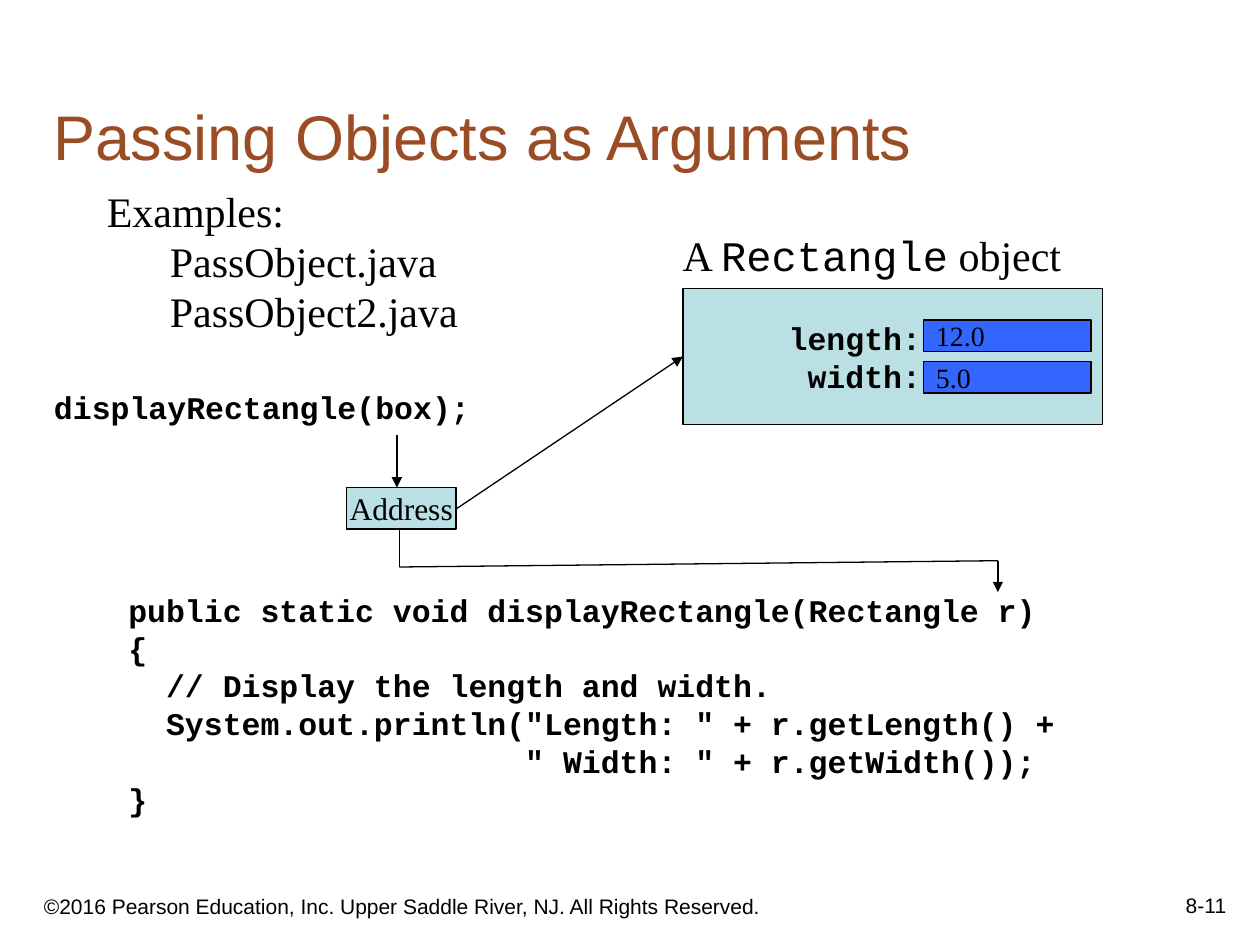
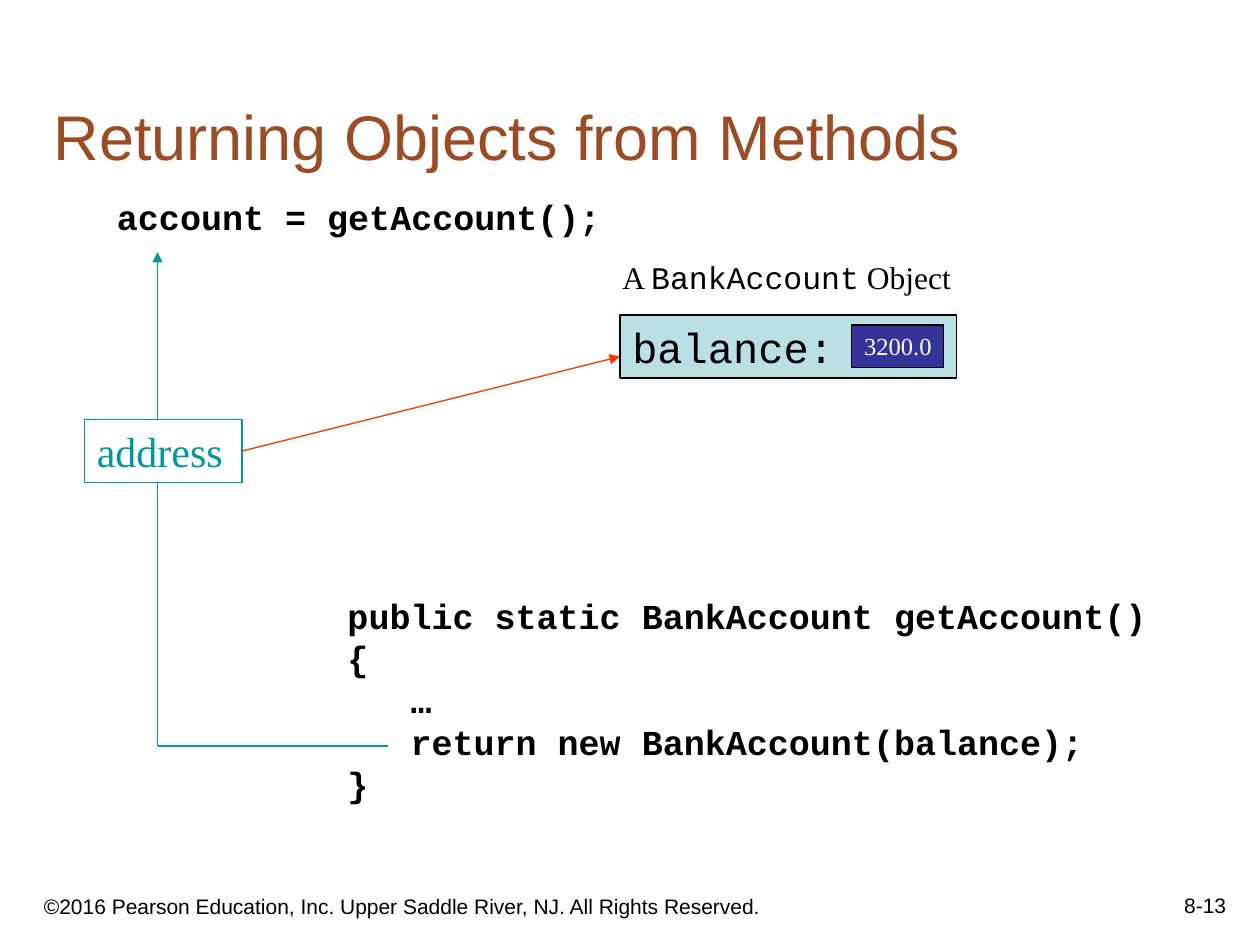
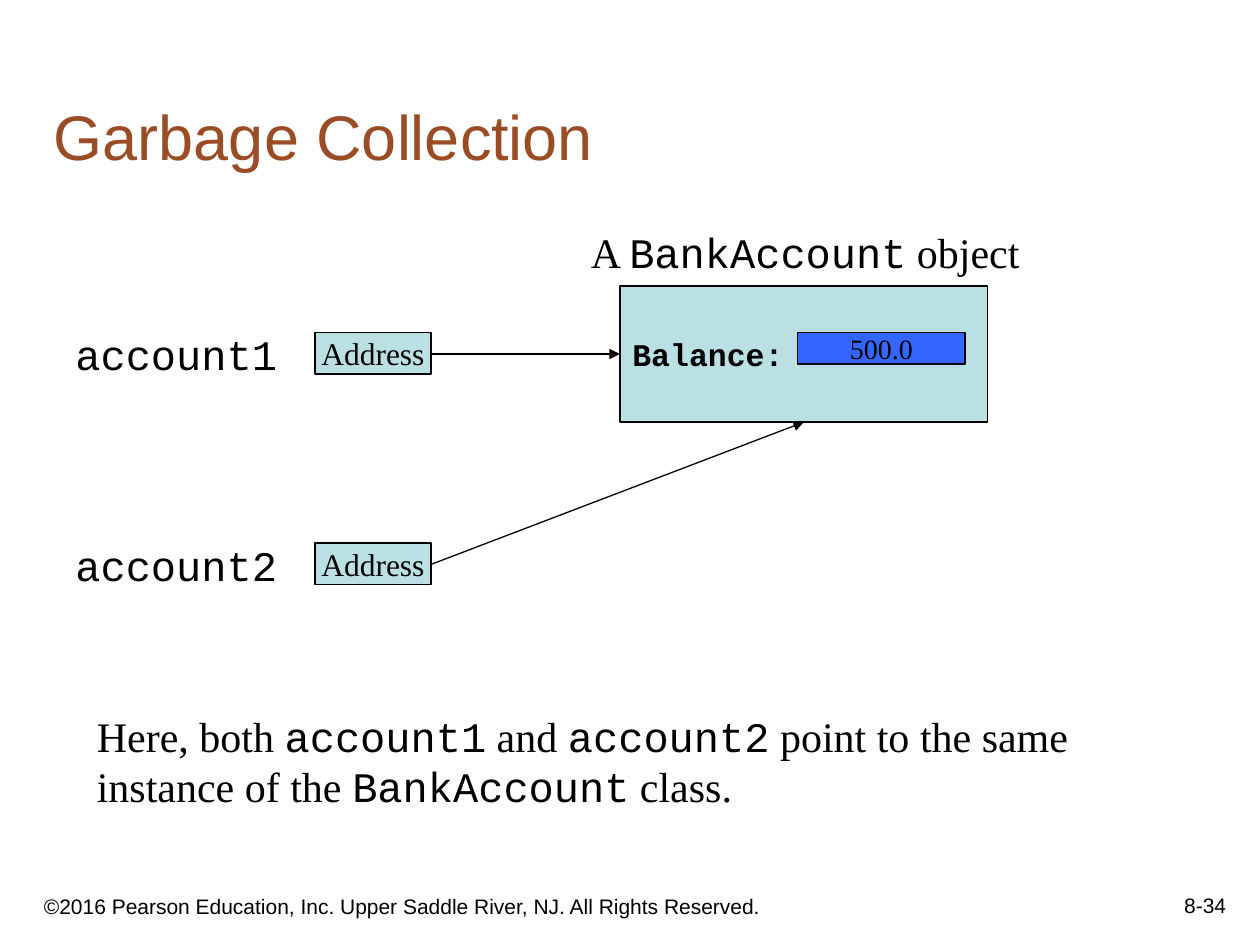
from lxml import etree
from pptx import Presentation
from pptx.dml.color import RGBColor
from pptx.enum.shapes import MSO_CONNECTOR, MSO_SHAPE
from pptx.enum.text import MSO_ANCHOR, PP_ALIGN
from pptx.oxml.ns import qn
from pptx.util import Inches, Pt

LEFT, CENTER, RIGHT = PP_ALIGN.LEFT, PP_ALIGN.CENTER, PP_ALIGN.RIGHT
TOP, MIDDLE, BOTTOM = MSO_ANCHOR.TOP, MSO_ANCHOR.MIDDLE, MSO_ANCHOR.BOTTOM
RECTANGLE = MSO_SHAPE.RECTANGLE
STRAIGHT = MSO_CONNECTOR.STRAIGHT

COLORS = {
    "title": "9A4C25", "black": "000000", "white": "FFFFFF", "object": "BBE0E3",
    "field": "3366FF", "navy": "333399", "teal": "009999", "red": "FF3300",
}
SANS, SERIF, MONO = "Arial", "Times New Roman", "Courier New"
LINE_WIDTH = Pt(0.75)

BASE = dict(font=SERIF, size=24, color="black", bold=False, align=LEFT, anchor=TOP,
            wrap=True, fill=None, line=None, hanging=0, right_inset=0.1)
CODE = dict(font=MONO, size=18, bold=True, wrap=False)
OBJECT = dict(fill="object", line="black", anchor=MIDDLE)
FIELD = dict(fill="field", line="black", anchor=MIDDLE, size=16, wrap=False)
STYLES = {
    "title": dict(font=SANS, size=36, color="title", anchor=BOTTOM),
    "footer": dict(font=SANS, size=12, anchor=BOTTOM),
    "number": dict(font=SANS, size=12, anchor=BOTTOM, align=RIGHT),
    "text": dict(wrap=False),
    "small text": dict(size=18, wrap=False),
    "examples": dict(hanging=0.5),
    "code": CODE,
    "large code": {**CODE, "size": 20},
    "variable": dict(font=MONO),
    "object": {**CODE, **OBJECT},
    "labels": {**CODE, **OBJECT, "align": RIGHT, "right_inset": 1.44, "wrap": True},
    "plain object": {**OBJECT, "font": MONO, "anchor": TOP},
    "address": {**OBJECT, "size": 18, "align": CENTER, "wrap": False},
    "outlined address": dict(color="teal", line="teal"),
    "field": FIELD,
    "centered field": {**FIELD, "align": CENTER},
    "navy field": {**FIELD, "fill": "navy", "color": "white", "size": 14, "anchor": TOP},
}

COPYRIGHT = "©2016 Pearson Education, Inc. Upper Saddle River, NJ. All Rights Reserved."

SLIDES = [
    {
        "title": "Passing Objects as Arguments",
        "number": "8-11",
        "boxes": [
            ("examples", 0.75, 1.42, 3.2, 1.3, ["Examples:\nPassObject.java\nPassObject2.java"]),
            ("code", 0.33, 3.03, 3.58, 0.4, ["displayRectangle(box);"]),
            ("code", 0.92, 4.64, 7.6, 1.9, [
                "public static void displayRectangle(Rectangle r)",
                "{",
                "  // Display the length and width.",
                '  System.out.println("Length: " + r.getLength() +',
                '                     " Width: " + r.getWidth());',
                "}",
            ]),
            ("text", 5.32, 1.77, 3.22, 0.5, ["A `Rectangle` object"]),
            ("labels", 5.42, 2.29, 3.33, 1.08, ["length:", "width:"]),
            ("field", 7.33, 2.54, 1.33, 0.25, ["12.0"]),
            ("field", 7.33, 2.87, 1.33, 0.25, ["5.0"]),
            ("address", 2.75, 3.87, 0.87, 0.33, ["Address"]),
        ],
        "paths": [
            ("black", True, [(3.15, 3.45), (3.15, 3.87)]),
            ("black", True, [(3.17, 4.2), (3.17, 4.5), (7.92, 4.45), (7.92, 4.7)]),
            ("black", True, [(3.62, 4.04), (5.42, 2.83)]),
        ],
    },
    {
        "title": "Returning Objects from Methods",
        "number": "8-13",
        "boxes": [
            ("large code", 0.83, 1.5, 4.25, 0.44, ["account = getAccount();"]),
            ("large code", 2.66, 4.67, 6.7, 1.77, [
                "public static BankAccount getAccount()",
                "{",
                "   …",
                "   return new BankAccount(balance);",
                "}",
            ]),
            ("plain object", 4.92, 2.5, 2.67, 0.5, ["balance:"]),
            ("navy field", 6.76, 2.58, 0.73, 0.34, ["3200.0"]),
            ("outlined address", 0.67, 3.33, 1.25, 0.5, ["address"]),
            ("small text", 4.84, 2, 2.82, 0.4, ["A `BankAccount` Object"]),
        ],
        "paths": [
            ("teal", True, [(1.25, 3.33), (1.25, 2)]),
            ("teal", False, [(3.08, 5.92), (1.25, 5.92), (1.25, 3.83)]),
            ("red", True, [(1.92, 3.58), (4.92, 2.83)]),
        ],
    },
    {
        "title": "Garbage Collection",
        "number": "8-34",
        "boxes": [
            ("text", 4.59, 1.75, 3.62, 0.5, ["A `BankAccount` object"]),
            ("object", 4.92, 2.27, 2.92, 1.08, ["Balance:"]),
            ("centered field", 6.33, 2.64, 1.33, 0.25, ["500.0"]),
            ("variable", 0.5, 2.56, 1.83, 0.5, ["account1"]),
            ("address", 2.5, 2.64, 0.92, 0.33, ["Address"]),
            ("variable", 0.5, 4.23, 1.83, 0.5, ["account2"]),
            ("address", 2.5, 4.31, 0.92, 0.33, ["Address"]),
            ("text", 0.67, 5.59, 7.91, 0.9, [
                "Here, both `account1` and `account2` point to the same",
                "instance of the `BankAccount` class.",
            ]),
        ],
        "paths": [
            ("black", True, [(3.42, 2.81), (4.92, 2.81)]),
            ("black", True, [(3.42, 4.48), (6.38, 3.35)]),
        ],
    },
]


def rgb(name):
    return RGBColor.from_string(COLORS[name])


def add_span(para, text, font, style):
    span = para.add_run()
    span.text = text
    span.font.name = font
    span.font.size = Pt(style["size"])
    span.font.bold = style["bold"]
    span.font.color.rgb = rgb(style["color"])


def write_line(para, line, style):
    para.alignment = style["align"]
    if style["hanging"]:
        properties = para._p.get_or_add_pPr()
        properties.set("marL", str(Inches(style["hanging"])))
        properties.set("indent", str(-Inches(style["hanging"])))
    for row, text in enumerate(line.split("\n")):
        if row:
            para.add_line_break()
        for position, piece in enumerate(text.split("`")):
            if piece:
                add_span(para, piece, MONO if position % 2 else style["font"], style)


def add_box(page, style_name, left, top, width, height, lines):
    style = {**BASE, **STYLES[style_name]}
    place = [Inches(length) for length in (left, top, width, height)]
    if style["line"]:
        box = page.shapes.add_shape(RECTANGLE, *place)
        box.shadow.inherit = False
        box.line.color.rgb = rgb(style["line"])
        box.line.width = LINE_WIDTH
        if style["fill"]:
            box.fill.solid()
            box.fill.fore_color.rgb = rgb(style["fill"])
        else:
            box.fill.background()
    else:
        box = page.shapes.add_textbox(*place)
    frame = box.text_frame
    frame.word_wrap = style["wrap"]
    frame.vertical_anchor = style["anchor"]
    frame.margin_right = Inches(style["right_inset"])
    for index, line in enumerate(lines):
        para = frame.add_paragraph() if index else frame.paragraphs[0]
        write_line(para, line, style)


def add_path(page, color, arrow, points):
    for start, end in zip(points, points[1:]):
        ends = [Inches(length) for length in (*start, *end)]
        connector = page.shapes.add_connector(STRAIGHT, *ends)
        connector.line.color.rgb = rgb(color)
        connector.line.width = LINE_WIDTH
        if arrow and end == points[-1]:
            etree.SubElement(connector.line._get_or_add_ln(), qn("a:tailEnd"), type="triangle")
        etree.SubElement(connector._element.spPr, qn("a:effectLst"))


def add_page(deck, content):
    page = deck.slides.add_slide(deck.slide_layouts[6])
    add_box(page, "footer", 0.25, 6.92, 6.08, 0.42, [COPYRIGHT])
    add_box(page, "number", 7.75, 6.83, 2.08, 0.5, [content["number"]])
    add_box(page, "title", 0.33, 0.33, 9.42, 1.09, [content["title"]])
    for box in content["boxes"]:
        add_box(page, *box)
    for path_parts in content["paths"]:
        add_path(page, *path_parts)


def main():
    deck = Presentation()
    deck.slide_width = Inches(10)
    deck.slide_height = Inches(7.5)
    for content in SLIDES:
        add_page(deck, content)
    deck.save("out.pptx")


if __name__ == "__main__":
    main()
